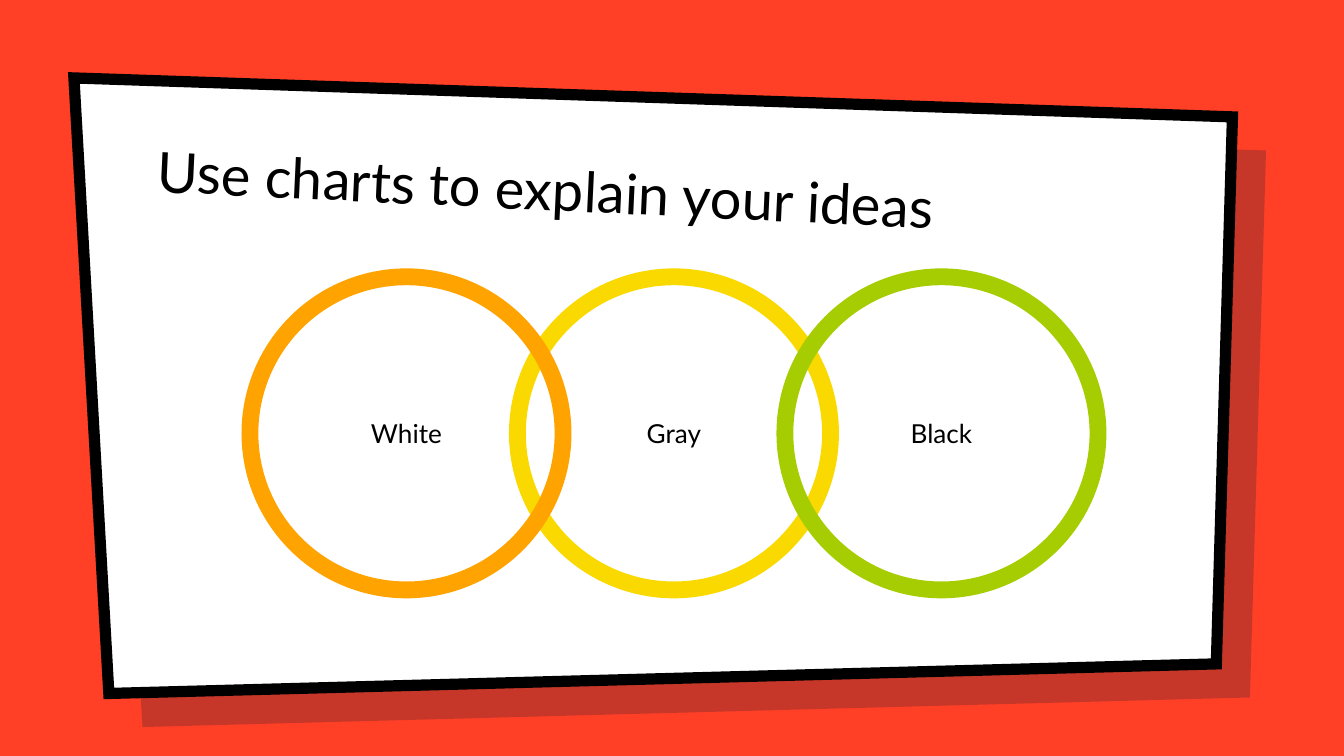
from lxml.etree import SubElement
from pptx import Presentation
from pptx.dml.color import RGBColor
from pptx.enum.shapes import MSO_SHAPE
from pptx.enum.text import MSO_ANCHOR, PP_ALIGN
from pptx.oxml.ns import qn
from pptx.util import Inches, Pt

COLORS = {
    "background": "FF4026", "shadow": "001936", "panel": "FFFFFF", "ink": "000000",
    "yellow": "FAD900", "orange": "FFA300", "green": "A6CD02",
}
FONT = "Lato"
TITLE = "Use charts to explain your ideas"
# Label, column and color, from back to front
CIRCLES = [("Gray", 1, "yellow"), ("White", 0, "orange"), ("Black", 2, "green")]
PANEL_CORNERS = [(0.55, 0.58), (9.17, 0.87), (9.05, 4.94), (0.81, 5.16)]
SHADOW_OFFSET = 0.25
SHADOW_OPACITY = 22
CIRCLE_LEFT, CIRCLE_TOP = 1.86, 2.06
CIRCLE_SIZE, CIRCLE_STEP = 2.33, 1.99


def rgb(name):
    return RGBColor.from_string(COLORS[name])


def set_text(shape, text, size, align=PP_ALIGN.LEFT, anchor=MSO_ANCHOR.MIDDLE):
    frame = shape.text_frame
    frame.word_wrap = True
    frame.vertical_anchor = anchor
    frame.margin_left = frame.margin_right = Inches(0.1)
    frame.margin_top = frame.margin_bottom = Inches(0.1)
    paragraph = frame.paragraphs[0]
    paragraph.alignment = align
    run = paragraph.add_run()
    run.text = text
    run.font.name = FONT
    run.font.size = Pt(size)
    run.font.color.rgb = rgb("ink")


def set_line(shape, color, width):
    shape.line.color.rgb = rgb(color)
    shape.line.width = Pt(width)


def add_panel(slide, fill, offset=0):
    points = [(Inches(x + offset), Inches(y + offset)) for x, y in PANEL_CORNERS]
    builder = slide.shapes.build_freeform(*points[0])
    builder.add_line_segments(points[1:], close=True)
    shape = builder.convert_to_shape()
    shape.shadow.inherit = False
    shape.fill.solid()
    shape.fill.fore_color.rgb = rgb(fill)
    return shape


def add_circle(slide, label, column, color):
    shape = slide.shapes.add_shape(
        MSO_SHAPE.OVAL, Inches(CIRCLE_LEFT + column * CIRCLE_STEP), Inches(CIRCLE_TOP),
        Inches(CIRCLE_SIZE), Inches(CIRCLE_SIZE))
    shape.shadow.inherit = False
    shape.fill.background()
    set_line(shape, color, 9)
    set_text(shape, label, 14, align=PP_ALIGN.CENTER)


def main():
    presentation = Presentation()
    presentation.slide_width = Inches(10)
    presentation.slide_height = Inches(10) * 9 // 16
    slide = presentation.slides.add_slide(presentation.slide_layouts[5])
    slide.background.fill.solid()
    slide.background.fill.fore_color.rgb = rgb("background")

    shadow = add_panel(slide, "shadow", offset=SHADOW_OFFSET)
    shadow.line.fill.background()
    shadow_color = shadow._element.spPr.find(".//" + qn("a:srgbClr"))
    SubElement(shadow_color, qn("a:alpha"), val=str(SHADOW_OPACITY * 1000))

    panel = add_panel(slide, "panel")
    set_line(panel, "ink", 6)
    panel_line = panel._element.spPr.find(qn("a:ln"))
    SubElement(panel_line, qn("a:miter"), lim="800000")

    title = slide.shapes.title
    title.left, title.top = Inches(1.07), Inches(0.96)
    title.width, title.height = Inches(7.69), Inches(0.83)
    title.rotation = 2.7
    set_text(title, TITLE, 30, anchor=MSO_ANCHOR.BOTTOM)
    slide.shapes._spTree.append(title._element)  # bring in front of the panel

    for label, column, color in CIRCLES:
        add_circle(slide, label, column, color)

    presentation.save("out.pptx")


if __name__ == "__main__":
    main()
